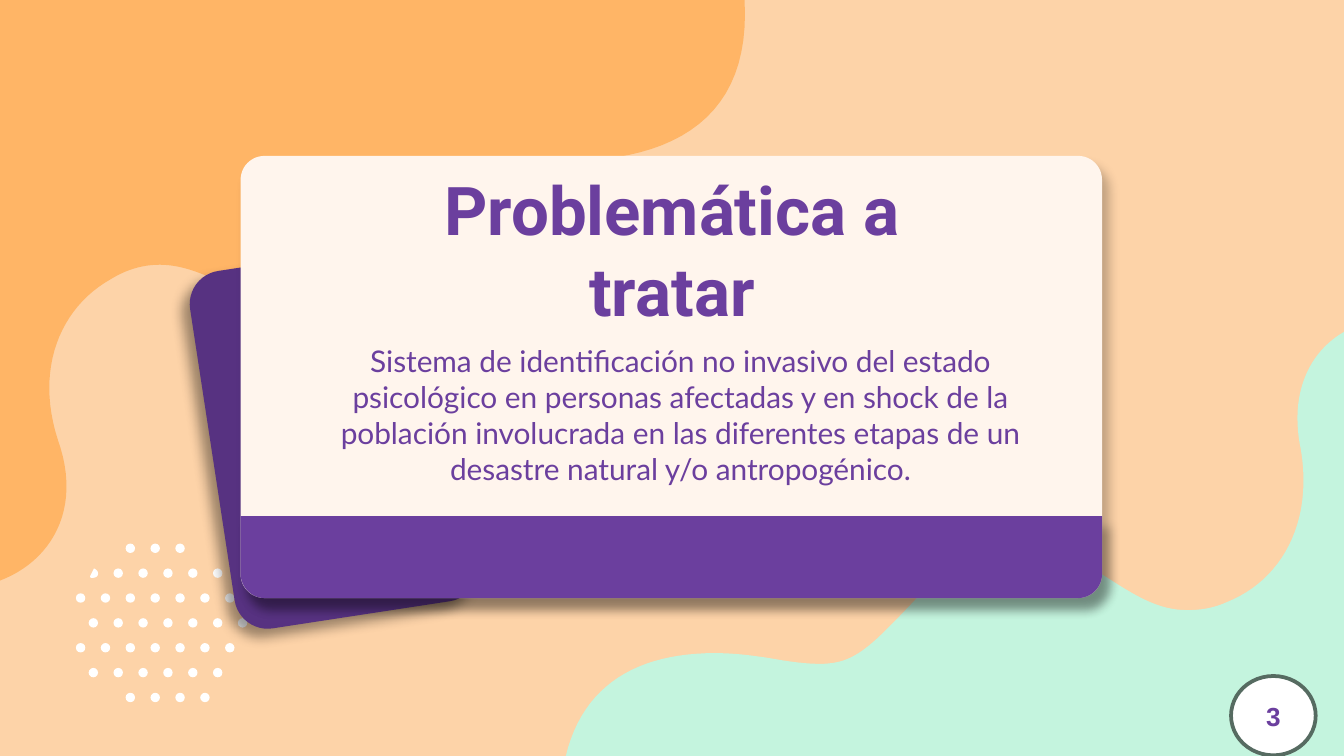
from lxml import etree
from pptx import Presentation
from pptx.dml.color import RGBColor
from pptx.enum.shapes import MSO_SHAPE as SHAPE
from pptx.enum.text import MSO_ANCHOR as ANCHOR, PP_ALIGN as ALIGN
from pptx.oxml.ns import qn
from pptx.util import Inches, Pt

COLORS = {
    "peach": "FDD3A8", "orange": "FFB566", "mint": "C4F4DE", "white": "FFFFFF",
    "cream": "FFF5ED", "purple": "6B3F9E", "dark purple": "573281", "ring": "566B61",
}
# Square grid: 1000 columns across the slide
CELL = Inches(10) // 1000

prs = Presentation()
prs.slide_width, prs.slide_height = 1000 * CELL, Inches(5.625)
slide = prs.slides.add_slide(prs.slide_layouts[6])
shapes = slide.shapes


def dress(shape, color, shadow=None):
    """Plain fill without outline; shadow is opacity %, blur pt, distance pt, angle."""
    shape.fill.solid()
    shape.fill.fore_color.rgb = RGBColor.from_string(COLORS[color])
    shape.line.fill.background()
    shape.shadow.inherit = False
    if shadow:
        opacity, blur, distance, angle = shadow
        effects = shape._element.spPr.find(qn("a:effectLst"))
        outer = etree.SubElement(
            effects, qn("a:outerShdw"), blurRad=str(Pt(blur)), dist=str(Pt(distance)),
            dir=str(angle * 60000), algn="bl", rotWithShape="0")
        black = etree.SubElement(outer, qn("a:srgbClr"), val="000000")
        etree.SubElement(black, qn("a:alpha"), val=str(opacity * 1000))


def write(shape, text, size, font, bold=False, inset=0.1):
    frame = shape.text_frame
    frame.word_wrap = True
    frame.vertical_anchor = ANCHOR.MIDDLE
    frame.margin_left = frame.margin_right = Inches(inset)
    frame.margin_top = frame.margin_bottom = Inches(inset)
    paragraph = frame.paragraphs[0]
    paragraph.alignment = ALIGN.CENTER
    run = paragraph.add_run()
    run.text = text
    run.font.size, run.font.name, run.font.bold = Pt(size), font, bold
    run.font.color.rgb = RGBColor.from_string(COLORS["purple"])


# Background
slide.background.fill.solid()
slide.background.fill.fore_color.rgb = RGBColor.from_string(COLORS["peach"])

# Waves and the cut dot: start, then Bézier curves (6 numbers) or straight lines (2)
blobs = [
    ("mint", (1000, 247), [
        (974, 262, 959, 293, 968, 335), (977, 390, 953, 432, 913, 448),
        (902, 453, 892, 454, 883, 454), (851, 454, 828, 429, 796, 414),
        (777, 406, 763, 401, 749, 401), (729, 401, 712, 413, 687, 440),
        (648, 481, 637, 494, 610, 494), (602, 494, 592, 493, 580, 491),
        (563, 488, 547, 486, 532, 486), (475, 486, 434, 509, 421, 562.5),
        (1000, 562.5)]),
    ("orange", (0, 0), [
        (0, 432), (37, 418, 62, 380, 43, 327), (26, 274, 45, 229, 82, 208),
        (95, 200, 107, 197, 119, 197), (147, 197, 171, 216, 202, 225),
        (218, 230, 231, 232, 242, 232), (267, 232, 283, 219, 307, 186),
        (346, 131, 352, 120, 392, 120), (396, 120, 401, 120, 406, 120),
        (410, 120, 414, 120, 418, 120), (504, 120, 559, 86, 554, 0)]),
    ("white", (70, 423), [
        (69, 425, 68, 427, 67, 429), (67, 430, 68, 430, 69, 430),
        (71, 430, 73, 429, 73, 427), (73, 425, 72, 424, 70, 423)]),
]
STEPS = 24
for color, (x, y), segments in blobs:
    outline = shapes.build_freeform(x * CELL, y * CELL)
    points = []
    for segment in segments:
        if len(segment) == 2:
            points.append(segment)
        else:
            x1, y1, x2, y2, x3, y3 = segment
            for step in range(1, STEPS + 1):
                t = step / STEPS
                s = 1 - t
                a, b, c, d = s**3, 3 * s * s * t, 3 * s * t * t, t**3
                points.append((a * x + b * x1 + c * x2 + d * x3,
                               a * y + b * y1 + c * y2 + d * y3))
        x, y = segment[-2:]
    outline.add_line_segments([(px * CELL, py * CELL) for px, py in points])
    dress(outline.convert_to_shape(), color)

# Dot pattern: left edge of the first dot and number of dots in each row
PITCH, DOT = 18.5, 7
dot_rows = [(93.5, 3), (84.5, 5), (56.5, 7), (66, 7), (56.5, 7), (66, 6), (93.5, 4)]
for row, (left, count) in enumerate(dot_rows):
    for column in range(count):
        dot = shapes.add_shape(
            SHAPE.OVAL, round((left + column * PITCH) * CELL),
            round((404.5 + row * PITCH) * CELL), DOT * CELL, DOT * CELL)
        dress(dot, "white")

# Cards: the tilted one behind, the main one and its footer band
CARD_SHADOW = (23, 5.6, 6.8, 57)
cards = [
    (SHAPE.ROUNDED_RECTANGLE, (157, 190, 183, 269), [0.136], -8.7,
     "dark purple", (38, 6.8, 6, 131)),
    (SHAPE.ROUNDED_RECTANGLE, (179, 116, 641, 329), [0.054], 0, "cream", CARD_SHADOW),
    (SHAPE.ROUND_2_SAME_RECTANGLE, (179, 384, 641, 61), [0.296, 0], 180,
     "purple", CARD_SHADOW),
]
for kind, box, corners, angle, color, shadow in cards:
    card = shapes.add_shape(kind, *[n * CELL for n in box])
    for index, corner in enumerate(corners):
        card.adjustments[index] = corner
    card.rotation = angle
    dress(card, color, shadow)

# Title and statement
title = shapes.add_textbox(*[n * CELL for n in (268, 154, 464, 63)])
write(title, "Problemática a tratar", 36, "Roboto", bold=True)
statement = shapes.add_textbox(*[n * CELL for n in (240, 245, 533, 127)])
write(statement, "Sistema de identificación no invasivo del estado psicológico en "
      "personas afectadas y en shock de la población involucrada en las diferentes "
      "etapas de un desastre natural y/o antropogénico.", 16, "Lato")

# Page number
page_number = shapes.add_shape(SHAPE.OVAL, *[n * CELL for n in (916, 503, 63, 59)])
dress(page_number, "white")
page_number.line.color.rgb = RGBColor.from_string(COLORS["ring"])
page_number.line.width = Pt(2)
write(page_number, "3", 14, "Arial", bold=True, inset=0.05)

prs.save("out.pptx")
